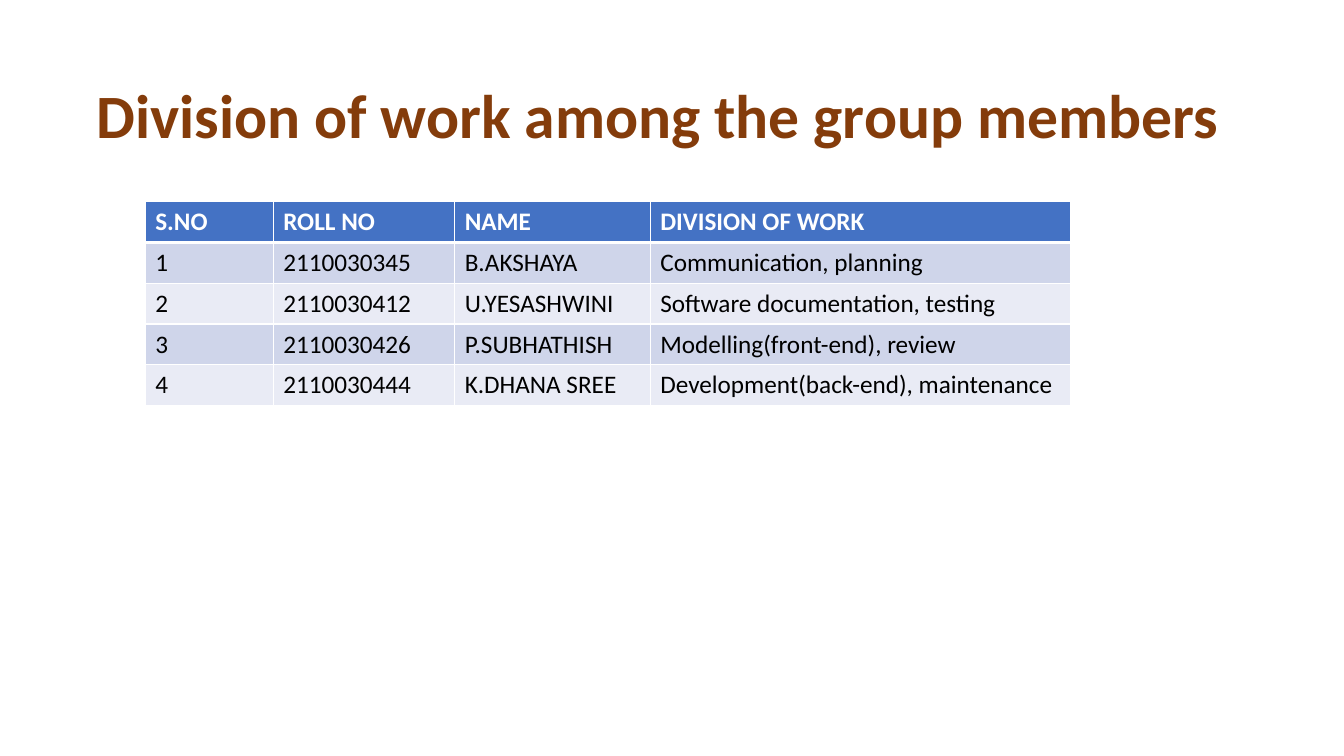
from lxml.etree import SubElement
from pptx import Presentation
from pptx.dml.color import RGBColor
from pptx.enum.text import MSO_ANCHOR
from pptx.oxml.ns import qn
from pptx.util import Inches, Pt

WIDTHS = [1.27, 1.8, 1.94, 4.17]
HEIGHT = 0.405
ROWS = [
    ["S.NO", "ROLL NO", "NAME", "DIVISION OF WORK"],
    ["1", "2110030345", "B.AKSHAYA", "Communication, planning"],
    ["2", "2110030412", "U.YESASHWINI", "Software documentation, testing"],
    ["3", "2110030426", "P.SUBHATHISH", "Modelling(front-end), review"],
    ["4", "2110030444", "K.DHANA SREE", "Development(back-end), maintenance"],
]


def color(code):
    return RGBColor.from_string(code)


class Deck:
    font = "Calibri"
    brown = "843C0B"
    blue = "4472C4"
    bands = ["E9EBF5", "CFD5EA"]
    white = "FFFFFF"
    black = "000000"

    def __init__(self, slide):
        self.slide = slide

    def style(self, frame, size, code, bold):
        for part in frame.paragraphs:
            for run in part.runs:
                run.font.name = self.font
                run.font.size = Pt(size)
                run.font.bold = bold
                run.font.color.rgb = color(code)

    def title(self, text, left, top, width, height):
        box = self.slide.shapes.add_textbox(
            Inches(left), Inches(top), Inches(width), Inches(height))
        frame = box.text_frame
        frame.word_wrap = True
        frame.vertical_anchor = MSO_ANCHOR.MIDDLE
        frame.text = text
        frame.paragraphs[0].line_spacing = 0.9
        self.style(frame, 44, self.brown, True)

    def border(self, cell, top, bottom):
        """Draw white cell edges; top and bottom are widths in points."""
        props = cell._tc.get_or_add_tcPr()
        for side, width in zip("LRTB", (1, 1, top, bottom)):
            line = SubElement(props, qn(f"a:ln{side}"), w=str(Pt(width)))
            fill = SubElement(line, qn("a:solidFill"))
            SubElement(fill, qn("a:srgbClr"), val=self.white)

    def table(self, rows, left, top, widths, height):
        """Add a table with a header row and banded rows below it."""
        grid = self.slide.shapes.add_table(
            len(rows), len(widths), Inches(left), Inches(top),
            Inches(sum(widths)), Inches(height * len(rows))).table
        for col, width in zip(grid.columns, widths):
            col.width = Inches(width)
        for i, row in enumerate(rows):
            head = i == 0
            for j, text in enumerate(row):
                cell = grid.cell(i, j)
                self.border(cell, 3 if i == 1 else 1, 3 if head else 1)
                cell.fill.solid()
                cell.fill.fore_color.rgb = color(
                    self.blue if head else self.bands[i % 2])
                cell.text_frame.text = text
                self.style(cell.text_frame, 18,
                           self.white if head else self.black, head)


def main():
    show = Presentation()
    show.slide_width = Inches(13.33)
    show.slide_height = Inches(7.5)
    deck = Deck(show.slides.add_slide(show.slide_layouts[6]))
    deck.title("Division of work among the group members",
               0.86, 0.45, 11.5, 1.45)
    deck.table(ROWS, 1.44, 2, WIDTHS, HEIGHT)
    show.save("out.pptx")


if __name__ == "__main__":
    main()
